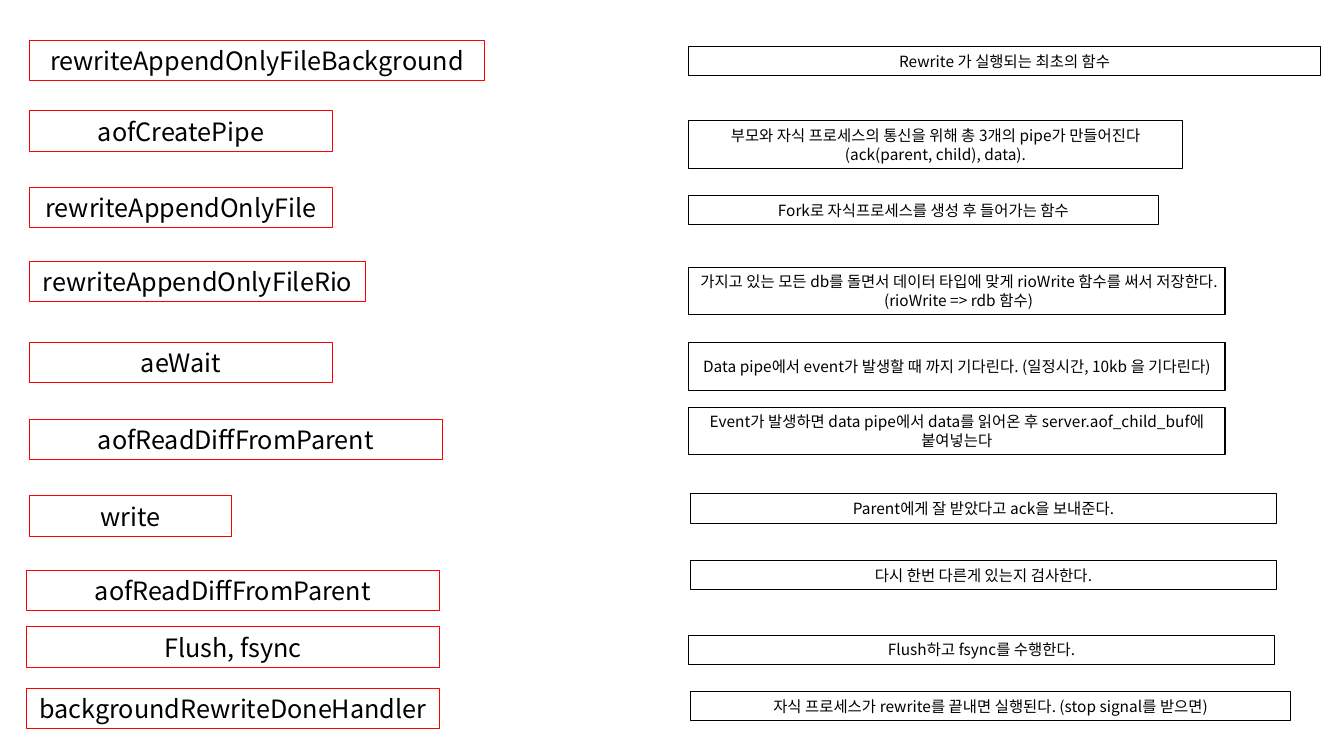
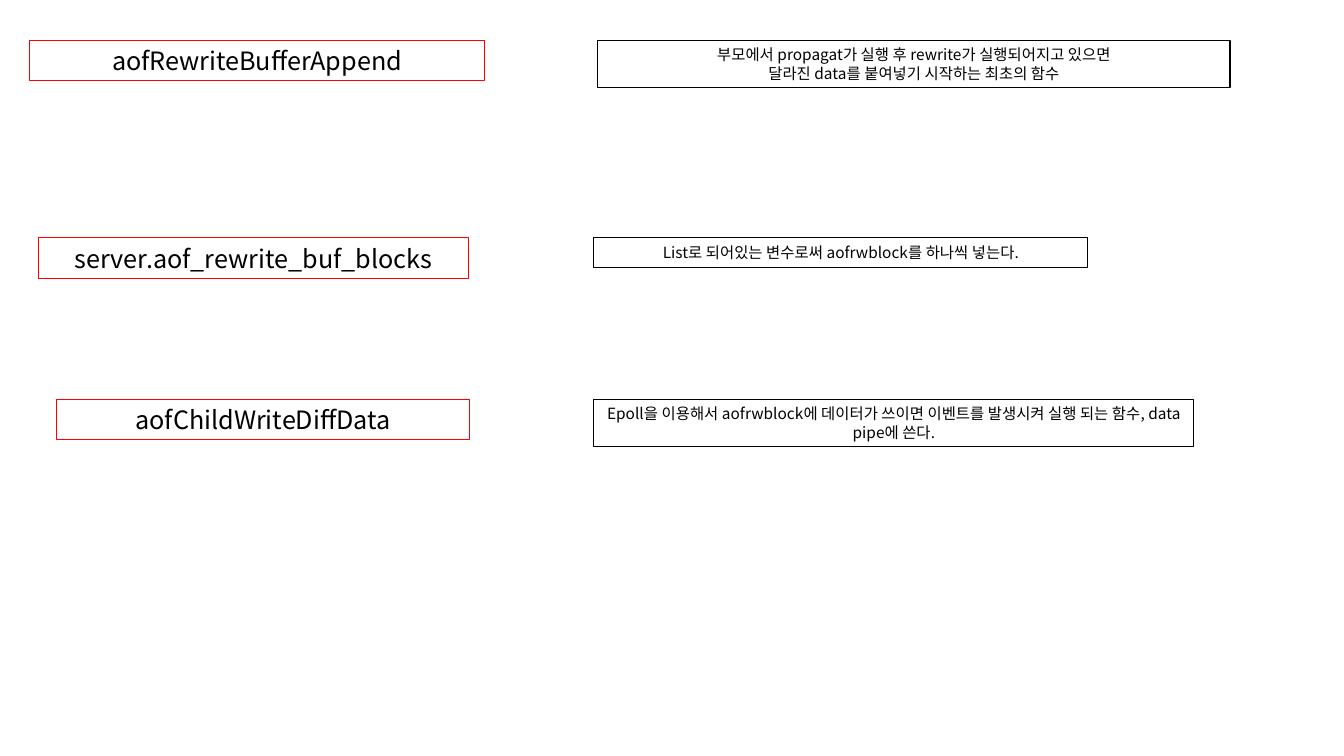
from dataclasses import dataclass

from lxml.etree import SubElement
from pptx import Presentation
from pptx.dml.color import RGBColor
from pptx.enum.shapes import MSO_SHAPE
from pptx.enum.text import MSO_ANCHOR, PP_ALIGN
from pptx.oxml.ns import qn
from pptx.util import Emu, Pt

EMU_PER_PX = 9144  # 100 px to the inch


@dataclass(frozen=True)
class Theme:
    font: str = "Noto Sans CJK KR"
    text: RGBColor = RGBColor(0x00, 0x00, 0x00)
    function_line: RGBColor = RGBColor(0xFF, 0x00, 0x00)
    note_line: RGBColor = RGBColor(0x00, 0x00, 0x00)
    function_size: int = 18
    note_size: int = 11
    line_width: float = 0.75
    line_spacing: float = 1.2


def px(length):
    return Emu(length * EMU_PER_PX)


def write_text(shape, text, *, font, size, color, spacing):
    """Fill the shape with centred text; each newline starts a paragraph."""
    frame = shape.text_frame
    frame.word_wrap = True
    frame.vertical_anchor = MSO_ANCHOR.MIDDLE
    frame.margin_top = frame.margin_bottom = px(0)
    frame.text = text
    for paragraph in frame.paragraphs:
        paragraph.alignment = PP_ALIGN.CENTER
        paragraph.line_spacing = Pt(round(size * spacing, 1))
        for run in paragraph.runs:
            run.font.name = font
            run.font.size = Pt(size)
            run.font.color.rgb = color
            east_asian = SubElement(run.font._element, qn("a:ea"))
            east_asian.set("typeface", font)


class Deck:
    FUNCTION_HEIGHT = 40
    NOTE_HEIGHTS = {1: 29, 2: 47}

    def __init__(self, theme):
        self.theme = theme
        self.slide = None
        self.presentation = Presentation()
        self.presentation.slide_width = px(1333)
        self.presentation.slide_height = px(750)

    def add_slide(self):
        blank = self.presentation.slide_layouts[6]
        self.slide = self.presentation.slides.add_slide(blank)

    def box(self, text, left, top, width, height, *, size, line):
        shape = self.slide.shapes.add_shape(
            MSO_SHAPE.RECTANGLE, px(left), px(top), px(width), px(height))
        shape.shadow.inherit = False
        shape.fill.background()
        shape.line.color.rgb = line
        shape.line.width = Pt(self.theme.line_width)
        write_text(shape, text, font=self.theme.font, size=size,
                   color=self.theme.text, spacing=self.theme.line_spacing)

    def function(self, text, left, top, width):
        self.box(text, left, top, width, self.FUNCTION_HEIGHT,
                 size=self.theme.function_size, line=self.theme.function_line)

    def note(self, text, left, top, width, lines):
        self.box(text, left, top, width, self.NOTE_HEIGHTS[lines],
                 size=self.theme.note_size, line=self.theme.note_line)

    def save(self):
        self.presentation.save("out.pptx")


# Each row: function (text, left, top, width), note (text, left, top, width, lines)
REWRITE_STEPS = [
    (("rewriteAppendOnlyFileBackground", 29, 40, 452),
     ("Rewrite 가 실행되는 최초의 함수", 683, 46, 627, 1)),
    (("aofCreatePipe", 29, 110, 301),
     ("부모와 자식 프로세스의 통신을 위해 총 3개의 pipe가 만들어진다 "
      "(ack(parent, child), data).", 683, 120, 490, 2)),
    (("rewriteAppendOnlyFile", 29, 186, 301),
     ("Fork로 자식프로세스를 생성 후 들어가는 함수", 683, 194, 466, 1)),
    (("rewriteAppendOnlyFileRio", 29, 259, 334),
     ("가지고 있는 모든 db를 돌면서 데이터 타입에 맞게 rioWrite 함수를 써서 "
      "저장한다. (rioWrite => rdb 함수)", 683, 265, 532, 2)),
    (("aeWait", 29, 340, 301),
     ("Data pipe에서 event가 발생할 때 까지 기다린다. "
      "(일정시간, 10kb 을 기다린다)", 683, 340, 532, 2)),
    (("aofReadDiffFromParent", 29, 416, 410),
     ("Event가 발생하면 data pipe에서 data를 읽어온 후 "
      "server.aof_child_buf에 붙여넣는다", 683, 404, 532, 2)),
    (("write", 29, 492, 201),
     ("Parent에게 잘 받았다고 ack을 보내준다.", 685, 490, 581, 1)),
    (("aofReadDiffFromParent", 26, 566, 410),
     ("다시 한번 다른게 있는지 검사한다.", 685, 556, 581, 1)),
    (("Flush, fsync", 26, 622, 410),
     ("Flush하고 fsync를 수행한다.", 683, 630, 581, 1)),
    (("backgroundRewriteDoneHandler", 26, 683, 410),
     ("자식 프로세스가 rewrite를 끝내면 실행된다. (stop signal를 받으면)",
      685, 686, 595, 1)),
]

BUFFER_STEPS = [
    (("aofRewriteBufferAppend", 29, 40, 452),
     ("부모에서 propagat가 실행 후 rewrite가 실행되어지고 있으면\n"
      "달라진 data를 붙여넣기 시작하는 최초의 함수", 593, 40, 627, 2)),
    (("server.aof_rewrite_buf_blocks", 38, 236, 427),
     ("List로 되어있는 변수로써 aofrwblock를 하나씩 넣는다.", 589, 236, 490, 1)),
    (("aofChildWriteDiffData", 56, 396, 410),
     ("Epoll을 이용해서 aofrwblock에 데이터가 쓰이면 이벤트를 발생시켜 "
      "실행 되는 함수, data pipe에 쓴다.", 589, 396, 595, 2)),
]


def main():
    deck = Deck(Theme())
    for steps in (REWRITE_STEPS, BUFFER_STEPS):
        deck.add_slide()
        for function, note in steps:
            deck.function(*function)
            deck.note(*note)
    deck.save()


if __name__ == "__main__":
    main()
